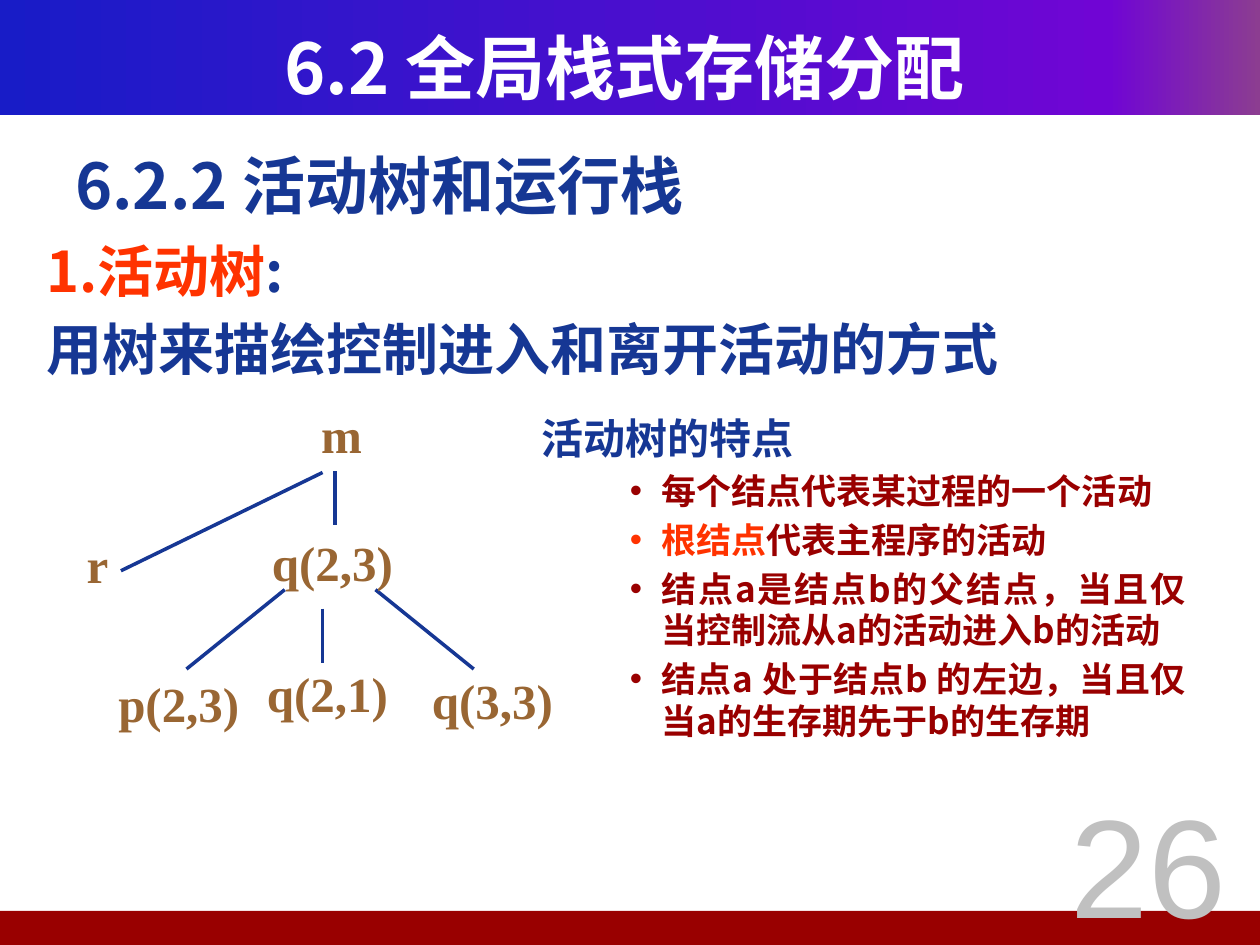
from dataclasses import dataclass
from typing import Optional

from lxml import etree
from pptx import Presentation
from pptx.dml.color import RGBColor
from pptx.enum.shapes import MSO_CONNECTOR, MSO_SHAPE
from pptx.enum.text import MSO_ANCHOR, PP_ALIGN
from pptx.oxml.ns import qn
from pptx.util import Inches, Pt

CENTER, JUSTIFY, LEFT = PP_ALIGN.CENTER, PP_ALIGN.JUSTIFY, PP_ALIGN.LEFT
MIDDLE, TOP = MSO_ANCHOR.MIDDLE, MSO_ANCHOR.TOP
RECTANGLE, STRAIGHT = MSO_SHAPE.RECTANGLE, MSO_CONNECTOR.STRAIGHT

# The page is a grid of 100 columns and 75 rows
COLUMNS, ROWS = 100, 75
WIDTH, HEIGHT = Inches(10), Inches(7.5)
HEITI, SERIF, SANS = "Noto Sans CJK SC", "Times New Roman", "Arial"
NAVY, RED, MAROON, BROWN = "163794", "FF3300", "990000", "996633"
WHITE, GRAY = "FFFFFF", "C0C0C0"
LINE_RATIO, GAP_RATIO = 1.19, 0.2


@dataclass(frozen=True)
class Area:
    column: float
    row: float
    columns: float
    rows: float


@dataclass(frozen=True)
class Span:
    text: str
    color: str


@dataclass(frozen=True)
class Para:
    spans: tuple[Span, ...]
    size: float
    font: str = HEITI
    bold: bool = True
    align: PP_ALIGN = LEFT
    margin: float = 0
    hanging: float = 0
    bullet: Optional[str] = None


@dataclass(frozen=True)
class Node:
    text: str
    column: float
    row: float
    columns: float = 12.5


@dataclass(frozen=True)
class Branch:
    start: tuple[float, float]
    end: tuple[float, float]


def across(columns: float) -> int:
    return round(WIDTH * columns / COLUMNS)


def down(rows: float) -> int:
    return round(HEIGHT * rows / ROWS)


def frame(area: Area) -> tuple[int, int, int, int]:
    return across(area.column), down(area.row), across(area.columns), down(area.rows)


def rgb(color: str) -> RGBColor:
    return RGBColor.from_string(color)


def add_band(page, area: Area, color: str):
    band = page.shapes.add_shape(RECTANGLE, *frame(area))
    band.shadow.inherit = False
    band.line.fill.background()
    band.fill.solid()
    band.fill.fore_color.rgb = rgb(color)
    return band


def set_gradient(band, stops: dict[int, str]) -> None:
    band.fill.gradient()
    band.fill.gradient_angle = 0
    stop_list = band._element.spPr.find(".//" + qn("a:gsLst"))
    for old_stop in list(stop_list):
        stop_list.remove(old_stop)
    for percent, color in stops.items():
        stop = etree.SubElement(stop_list, qn("a:gs"), pos=str(percent * 1000))
        etree.SubElement(stop, qn("a:srgbClr"), val=color)


def write_para(para, item: Para, first: bool) -> None:
    properties = para._p.get_or_add_pPr()
    properties.set("marL", str(across(item.margin)))
    properties.set("indent", str(-across(item.hanging)))
    if item.bullet:
        etree.SubElement(properties, qn("a:buFont"), typeface=SANS)
        etree.SubElement(properties, qn("a:buChar"), char=item.bullet)
    para.alignment = item.align
    if item.font == HEITI:
        para.line_spacing = Pt(round(item.size * LINE_RATIO, 1))
    if not first:
        para.space_before = Pt(item.size * GAP_RATIO)
    formats = {"name": item.font, "size": Pt(item.size), "bold": item.bold}
    for part in item.spans:
        span = para.add_run()
        span.text = part.text
        for name, value in formats.items():
            setattr(span.font, name, value)
        span.font.color.rgb = rgb(part.color)
        etree.SubElement(span._r.get_or_add_rPr(), qn("a:ea"), typeface=item.font)


def add_text(page, area: Area, items: list[Para], anchor: MSO_ANCHOR = TOP) -> None:
    box = page.shapes.add_textbox(*frame(area)).text_frame
    box.word_wrap = True
    box.vertical_anchor = anchor
    for index, item in enumerate(items):
        para = box.add_paragraph() if index else box.paragraphs[0]
        write_para(para, item, first=index == 0)


def add_branch(page, branch: Branch) -> None:
    (x1, y1), (x2, y2) = branch.start, branch.end
    line = page.shapes.add_connector(STRAIGHT, across(x1), down(y1), across(x2), down(y2))
    line.line.color.rgb = rgb(NAVY)
    line.line.width = Pt(2)
    etree.SubElement(line._element.spPr, qn("a:effectLst"))


def bullet(*spans: Span) -> Para:
    return Para(spans, 20, align=JUSTIFY, margin=12.5, hanging=2.5, bullet="•")


NODES = [
    Node("m", 24.5, 31.6, 6.4),
    Node("r", 5.9, 41.9, 6.4),
    Node("q(2,3)", 20.6, 41.8),
    Node("p(2,3)", 8.4, 53),
    Node("q(2,1)", 20.2, 52.2),
    Node("q(3,3)", 33.3, 52.7),
]
BRANCHES = [
    Branch((26.6, 37.4), (26.6, 41.7)),
    Branch((25.6, 37.5), (9.6, 45.3)),
    Branch((25.6, 48.3), (25.6, 52.6)),
    Branch((22.6, 46.8), (14.8, 53.1)),
    Branch((29.8, 46.8), (37.6, 53.1)),
]
FEATURES = [
    Para((Span("活动树的特点", NAVY),), 24, align=JUSTIFY, margin=3),
    bullet(Span("每个结点代表某过程的一个活动", MAROON)),
    bullet(Span("根结点", RED), Span("代表主程序的活动", MAROON)),
    bullet(Span("结点a是结点b的父结点，当且仅当控制流从a的活动进入b的活动", MAROON)),
    bullet(Span("结点a 处于结点b 的左边，当且仅当a的生存期先于b的生存期", MAROON)),
]


def main() -> None:
    deck = Presentation()
    deck.slide_width, deck.slide_height = WIDTH, HEIGHT
    page = deck.slides.add_slide(deck.slide_layouts[6])

    # Header and footer bands
    header = add_band(page, Area(0, 0, 100, 9.1), NAVY)
    set_gradient(header, {0: "181CC7", 88: "7005D4", 100: "8C3D91"})
    add_band(page, Area(0, 72.3, 100, 2.7), MAROON)

    # Title, section heading and page number
    title = Para((Span("6.2 全局栈式存储分配", WHITE),), 40, align=CENTER)
    add_text(page, Area(3.3, 2.2, 92.5, 6.2), [title], MIDDLE)
    heading = Para((Span("6.2.2 活动树和运行栈", NAVY),), 36, align=JUSTIFY)
    add_text(page, Area(5, 11.2, 90, 7), [heading])
    number = Para((Span("26", GRAY),), 80, SANS, bold=False, align=CENTER)
    add_text(page, Area(82.3, 61.3, 17.7, 13), [number])

    # Definition
    add_text(page, Area(2.7, 18.3, 97.3, 11.8), [
        Para((Span("1.活动树", RED), Span(":", NAVY)), 32),
        Para((Span("用树来描绘控制进入和离开活动的方式", NAVY),), 32),
    ])

    # Activation tree
    for branch in BRANCHES:
        add_branch(page, branch)
    for node in NODES:
        label = Para((Span(node.text, BROWN),), 28, SERIF, align=JUSTIFY)
        add_text(page, Area(node.column, node.row, node.columns, 6.6), [label])

    # Features of the tree
    add_text(page, Area(39, 32.3, 56.1, 29), FEATURES)

    deck.save("out.pptx")


if __name__ == "__main__":
    main()
